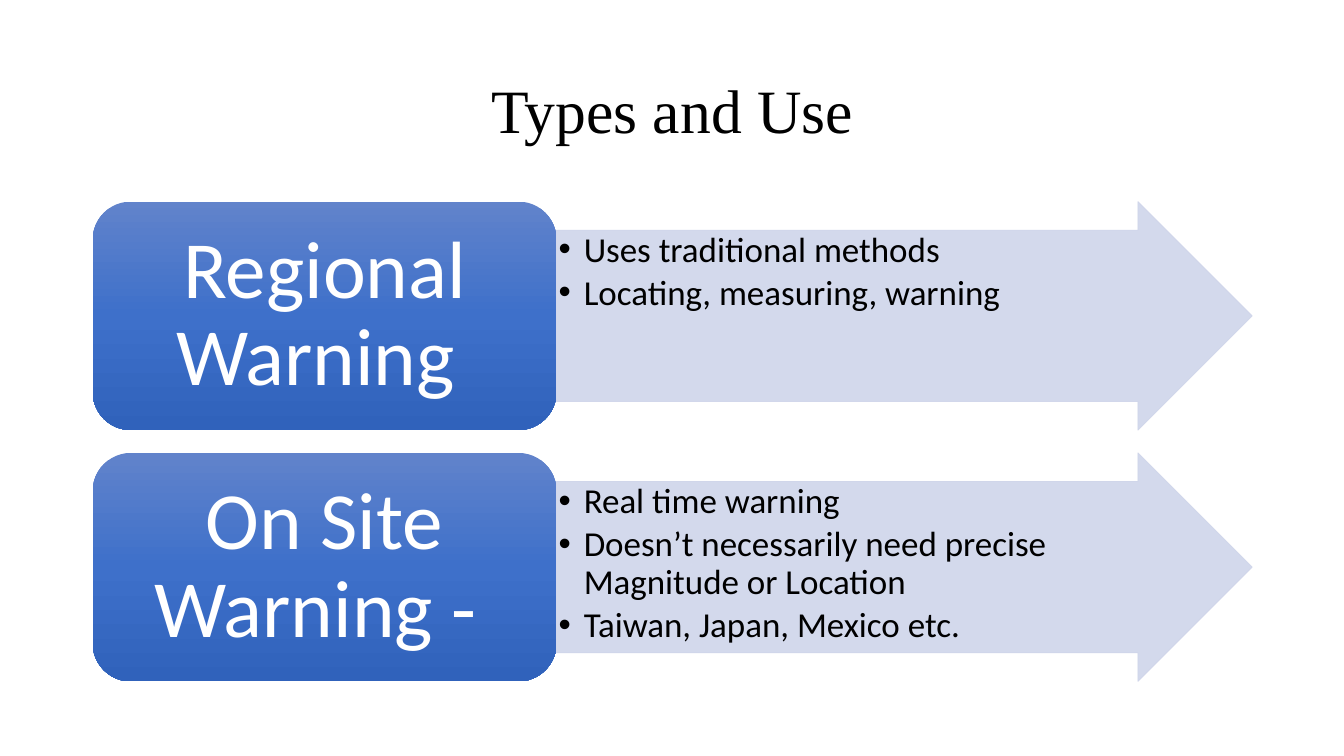
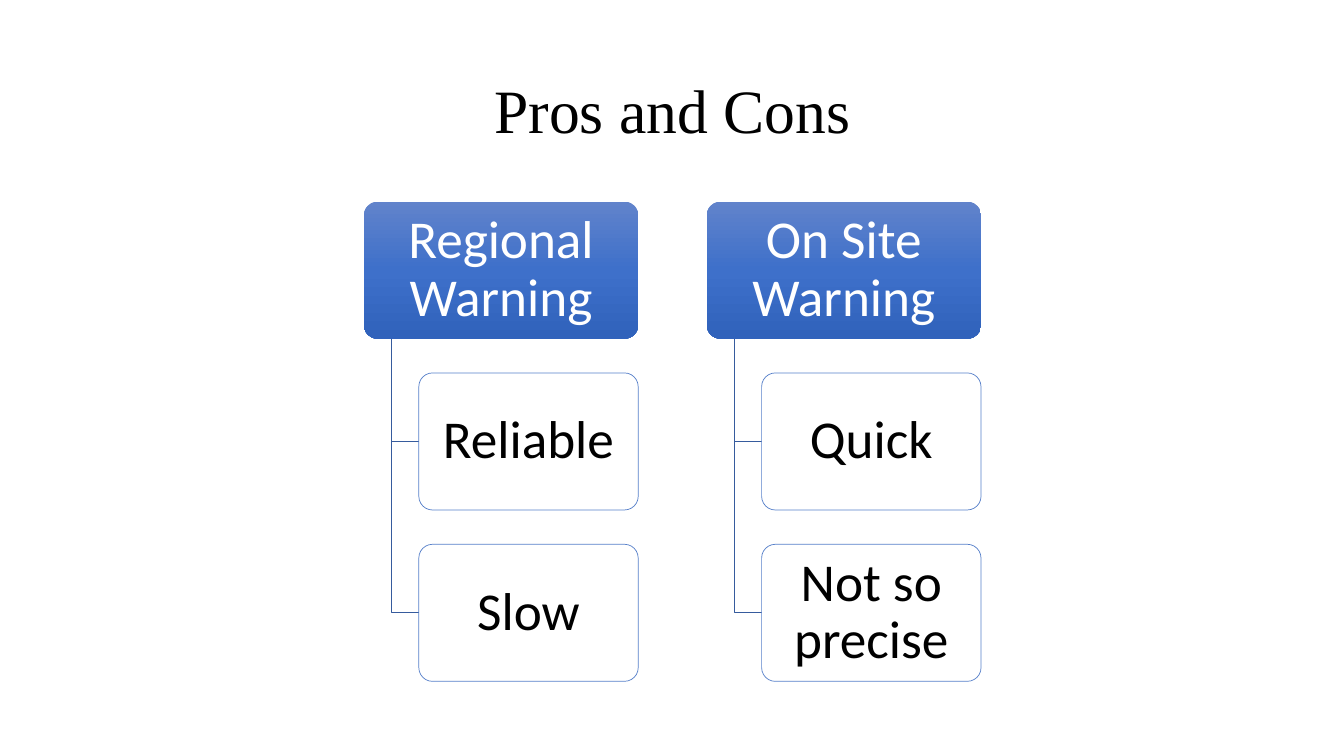
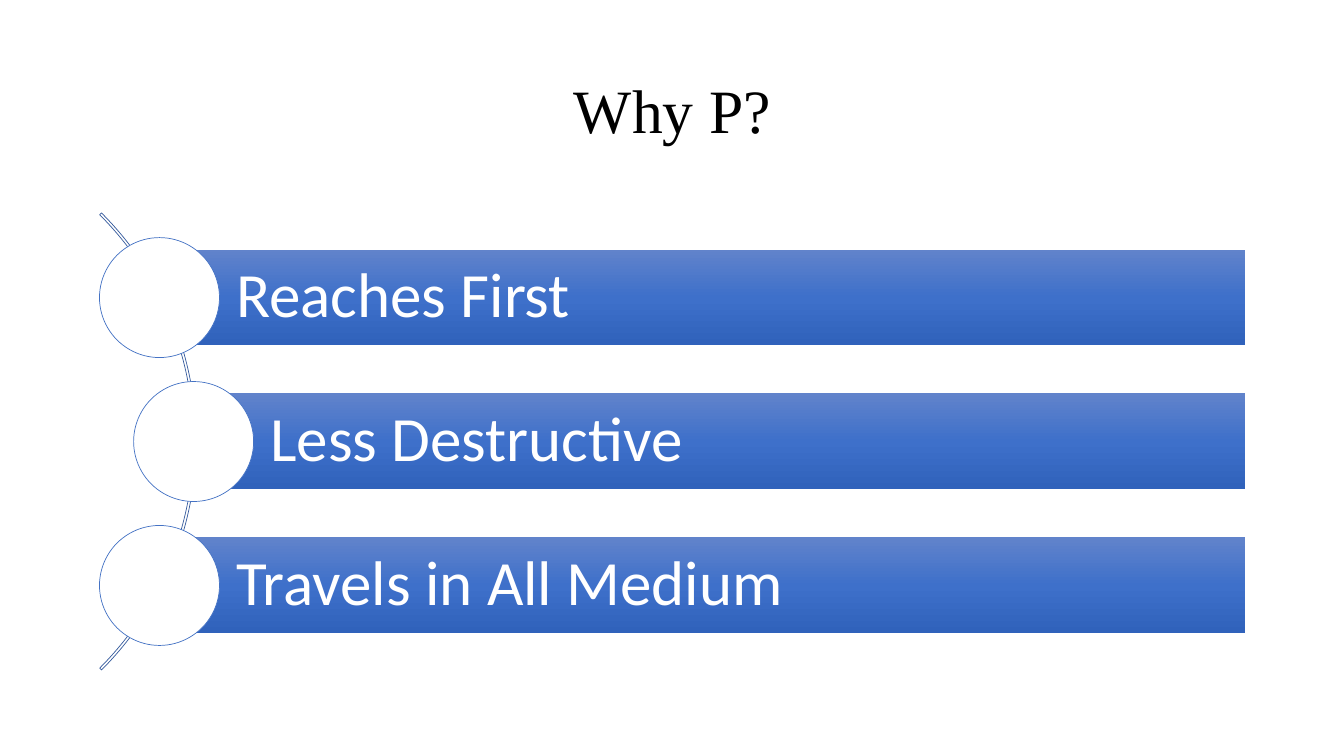
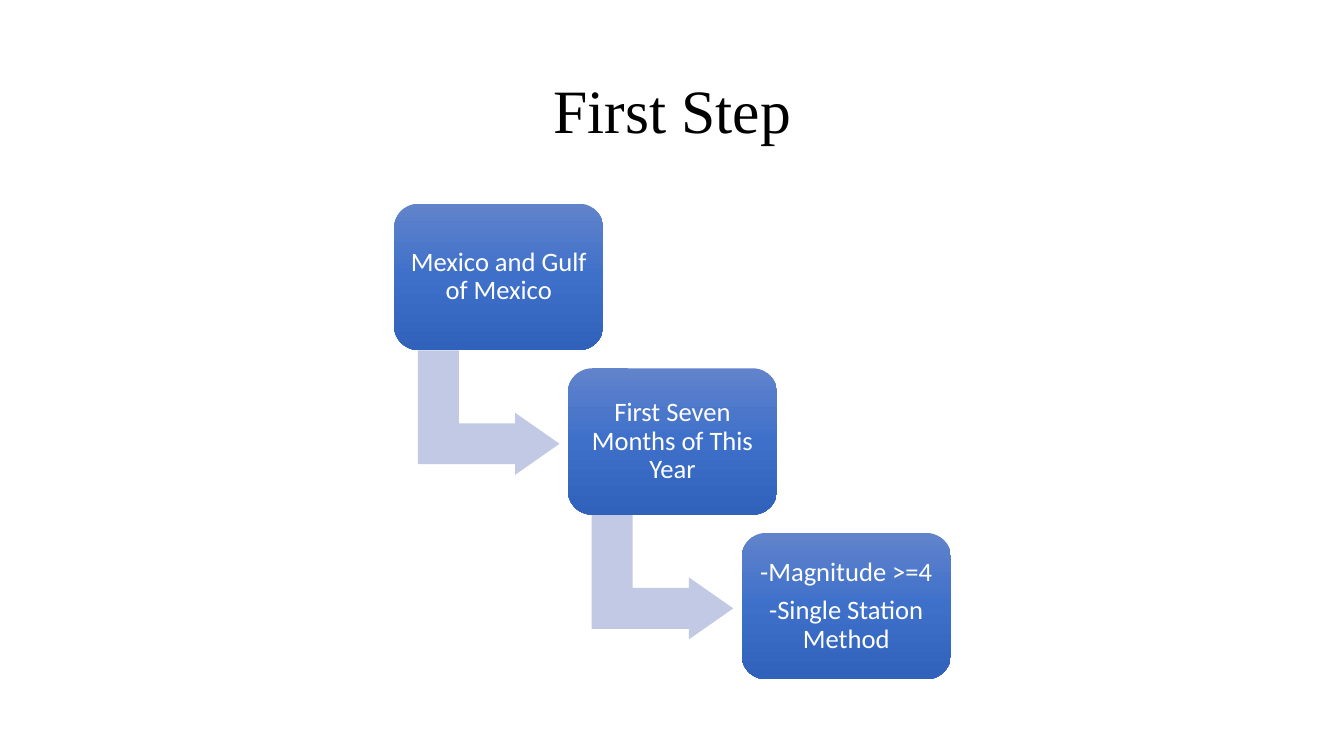
from copy import deepcopy
from dataclasses import dataclass
from math import sqrt
from typing import NamedTuple

from lxml import etree
from pptx import Presentation
from pptx.dml.color import RGBColor
from pptx.enum.shapes import MSO_SHAPE
from pptx.enum.text import MSO_ANCHOR, PP_ALIGN
from pptx.oxml.ns import qn
from pptx.util import Inches, Pt

ROUND, RECT, OVAL = MSO_SHAPE.ROUNDED_RECTANGLE, MSO_SHAPE.RECTANGLE, MSO_SHAPE.OVAL
ARROW, BENT, ARC = MSO_SHAPE.RIGHT_ARROW, MSO_SHAPE.BENT_UP_ARROW, MSO_SHAPE.BLOCK_ARC
TOP, MIDDLE = MSO_ANCHOR.TOP, MSO_ANCHOR.MIDDLE
LEFT, CENTER = PP_ALIGN.LEFT, PP_ALIGN.CENTER


@dataclass(frozen=True)
class Theme:
    """Colours, fonts and type sizes of the deck."""
    blue: tuple = ("6183CB", "3E70CA", "3062BB")
    outline: str = "4472C4"
    link: str = "365B9D"
    pale: str = "CFD5EA"
    bent: str = "C1C9E4"
    white: str = "FFFFFF"
    black: str = "000000"
    title_font: str = "Times New Roman"
    body_font: str = "Calibri"
    title: int = 44
    category: int = 58
    bullet: int = 25
    node: int = 38
    bar: int = 45
    step: int = 19
    hairline: float = 0.5


class Box(NamedTuple):
    """A rectangle in inches."""
    x: float
    y: float
    w: float
    h: float


T = Theme()
W, H = 13.33, 7.5
TITLE = Box(0.92, 0.4, 11.5, 1.45)
BODY = Box(0.92, 2, 11.5, 4.76)


def set_alpha(s, percent):
    """Make every plain colour of a shape partly transparent."""
    for clr in s._element.spPr.iter(qn("a:srgbClr")):
        etree.SubElement(clr, qn("a:alpha")).set("val", str(percent * 1000))


def set_gradient(s, colours):
    """Fill a shape with evenly spaced colours from top to bottom."""
    s.fill.gradient()
    s.fill.gradient_angle = 270
    stops = s._element.spPr.find(qn("a:gradFill")).find(qn("a:gsLst"))
    while len(stops) < len(colours):
        stops.append(deepcopy(stops[0]))
    for i, (stop, colour) in enumerate(zip(s.fill.gradient_stops, colours)):
        stop.position = i / (len(colours) - 1)
        stop.color.rgb = RGBColor.from_string(colour)


def set_look(s, fill=None, line=None):
    """Set fill and line; a tuple of colours makes a gradient."""
    s.shadow.inherit = False
    if isinstance(fill, tuple):
        set_gradient(s, fill)
    elif fill:
        s.fill.solid()
        s.fill.fore_color.rgb = RGBColor.from_string(fill)
    else:
        s.fill.background()
    if line:
        s.line.color.rgb = RGBColor.from_string(line)
        s.line.width = Pt(T.hairline)
    else:
        s.line.fill.background()


def add_shape(sl, kind, box, fill=None, line=None, adj=()):
    """Add a preset shape in a box."""
    s = sl.shapes.add_shape(kind, *map(Inches, box))
    for i, value in enumerate(adj):
        s.adjustments[i] = value
    set_look(s, fill, line)
    return s


def set_bullet(p, indent):
    """Give a paragraph a hanging bullet."""
    pPr = p._p.get_or_add_pPr()
    pPr.set("marL", str(Inches(indent)))
    pPr.set("indent", str(-Inches(indent)))
    etree.SubElement(pPr, qn("a:buFont")).set("typeface", "Arial")
    etree.SubElement(pPr, qn("a:buChar")).set("char", "•")


def write(s, lines, size, colour, insets, font=T.body_font, align=CENTER,
          anchor=MIDDLE, after=0.35, bullets=False):
    """Write one paragraph a line into a shape."""
    tf = s.text_frame
    tf.word_wrap = True
    tf.vertical_anchor = anchor
    tf.margin_left, tf.margin_top, tf.margin_right, tf.margin_bottom = map(Inches, insets)
    for i, line in enumerate(lines):
        p = tf.paragraphs[0] if i == 0 else tf.add_paragraph()
        p.alignment = align
        p.line_spacing = 0.9
        p.space_after = Pt(size * after)
        if bullets:
            set_bullet(p, 0.25)
        r = p.add_run()
        r.text = line
        r.font.name = font
        r.font.size = Pt(size)
        r.font.color.rgb = RGBColor.from_string(colour)


def add_titled_slide(prs, title):
    """Add a blank slide with the shared title."""
    sl = prs.slides.add_slide(prs.slide_layouts[6])
    s = sl.shapes.add_textbox(*map(Inches, TITLE))
    write(s, [title], T.title, T.black, (0.1, 0.05, 0.1, 0.05), T.title_font, after=0)
    return sl


def add_arrow_rows(sl, box, rows):
    """Stack categories, each with an arrow of bullets."""
    h = box.h / (1.1 * len(rows) - 0.1)
    w = 0.4 * box.w
    for i, (name, bullets) in enumerate(rows):
        y = box.y + 1.1 * h * i
        s = add_shape(sl, ARROW, Box(box.x + w, y, box.w - w, h), T.pale, T.pale, (0.75, 0.5))
        set_alpha(s, 90)
        write(s, bullets, T.bullet, T.black, (0.02,) * 4, align=LEFT, anchor=TOP,
              after=0.15, bullets=True)
        s = add_shape(sl, ROUND, Box(box.x, y, w, h), T.blue)
        write(s, [name], T.category, T.white, (0.24, 0.12, 0.24, 0.12))


def add_link(sl, x, y, w, h):
    """Draw a line down and then right."""
    fb = sl.shapes.build_freeform(Inches(x), Inches(y))
    fb.add_line_segments([(Inches(x), Inches(y + h)), (Inches(x + w), Inches(y + h))], close=False)
    set_look(fb.convert_to_shape(), line=T.link)


def add_node(sl, box, text, colour, fill, line=None):
    """Add one box of a hierarchy."""
    s = add_shape(sl, ROUND, box, fill, line, (0.1,))
    set_alpha(s, 90 if line else 100)
    write(s, [text], T.node, colour, (0.08, 0.05, 0.08, 0.05))


def add_hierarchy(sl, box, columns):
    """Centre columns of a head with its linked children."""
    h = box.h / 3.5
    w = 2 * h
    left = box.x + (box.w - h * (2.5 * len(columns) - 0.5)) / 2
    for i, (head, children) in enumerate(columns):
        x = left + 2.5 * h * i
        add_node(sl, Box(x, box.y, w, h), head, T.white, T.blue)
        for j, child in enumerate(children, 1):
            y = box.y + 1.25 * h * j
            add_link(sl, x + 0.2 * h, box.y + h, 0.2 * h, y - box.y - h / 2)
            add_node(sl, Box(x + 0.4 * h, y, 1.6 * h, h), child, T.black, T.white, T.outline)


def add_arc_list(sl, box, items):
    """Set bars with circles along an arc."""
    size, h = 1.347 * box.h, box.h / 5
    d = 1.25 * h
    cx, cy = box.x - 2.18, box.y + box.h / 2
    add_shape(sl, ARC, Box(cx - size / 2, cy - size / 2, size, size), line=T.link,
              adj=(189, 27, 0.004))
    for i, item in enumerate(items):
        dy = 1.5 * h * (i - (len(items) - 1) / 2)
        x = cx + sqrt((0.496 * size) ** 2 - dy ** 2)
        y = cy + dy
        s = add_shape(sl, RECT, Box(x, y - h / 2, box.x + box.w - 0.07 - x, h), T.blue)
        write(s, [item], T.bar, T.white, (0.8 * h, 0.12, 0.12, 0.12), align=LEFT)
        add_shape(sl, OVAL, Box(x - d / 2, y - d / 2, d, d), T.white, T.outline)


def add_steps(sl, box, steps):
    """Centre descending steps joined by bent arrows."""
    h = 0.305 * box.h
    w = 1.43 * h
    dx, dy = 0.83 * w, 1.125 * h
    last = len(steps) - 1
    left = box.x + (box.w - w - dx * last) / 2
    top = box.y + (box.h - h - dy * last) / 2
    for i, lines in enumerate(steps):
        x, y = left + dx * i, top + dy * i
        if i < last:
            s = add_shape(sl, BENT, Box(x + 0.155 * w, y + 0.945 * h, 0.85 * h, 0.676 * w),
                          T.bent, adj=(0.328, 0.25, 0.358))
            s.rotation = 90
        s = add_shape(sl, ROUND, Box(x, y, w, h), T.blue, adj=(0.167,))
        write(s, lines, T.step, T.white, (0.08,) * 4)


def main():
    """Build the four slides and save them."""
    prs = Presentation()
    prs.slide_width, prs.slide_height = Inches(W), Inches(H)
    add_arrow_rows(add_titled_slide(prs, "Types and Use"), BODY, [
        ("Regional Warning ", ["Uses traditional methods", "Locating, measuring, warning"]),
        ("On Site Warning - ", ["Real time warning",
                                "Doesn’t necessarily need precise Magnitude or Location",
                                "Taiwan, Japan, Mexico etc."]),
    ])
    add_hierarchy(add_titled_slide(prs, "Pros and Cons"), BODY, [
        ("Regional Warning", ["Reliable", "Slow"]),
        ("On Site Warning", ["Quick", "Not so precise"]),
    ])
    add_arc_list(add_titled_slide(prs, "Why P?"), BODY,
                 ["Reaches First", "Less Destructive", "Travels in All Medium"])
    add_steps(add_titled_slide(prs, "First Step"), BODY, [
        ["Mexico and Gulf of Mexico"],
        ["First Seven Months of This Year"],
        ["-Magnitude >=4", "-Single Station Method"],
    ])
    prs.save("out.pptx")


if __name__ == "__main__":
    main()
